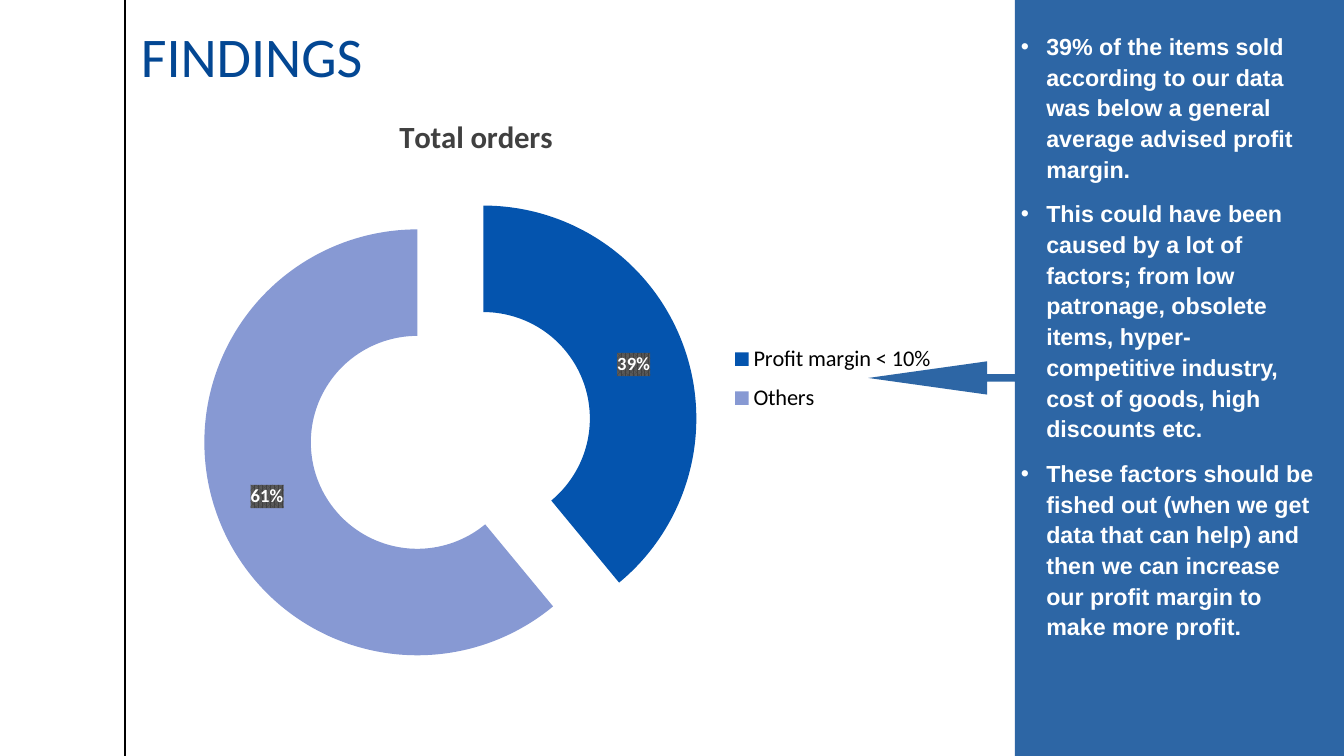
from lxml.etree import SubElement
from pptx import Presentation
from pptx.chart.data import CategoryChartData
from pptx.dml.color import RGBColor
from pptx.enum.chart import XL_CHART_TYPE as ChartType, XL_LEGEND_POSITION as LegendPosition
from pptx.enum.shapes import MSO_CONNECTOR as Connector, MSO_SHAPE as Shape
from pptx.enum.text import MSO_ANCHOR as Anchor
from pptx.oxml import parse_xml
from pptx.oxml.ns import nsdecls, qn
from pptx.util import Cm, Pt

HEADING = "FINDINGS"
FINDINGS = [
    "39% of the items sold according to our data was below a general average "
    "advised profit margin.",
    "This could have been caused by a lot of factors; from low patronage, obsolete "
    "items, hyper-competitive industry, cost of goods, high discounts etc.",
    "These factors should be fished out (when we get data that can help) and then "
    "we can increase our profit margin to make more profit.",
]
CHART_TITLE = "Total orders"
ORDERS = [("Profit margin < 10%", 39, "0454AE"), ("Others", 61, "8799D3")]
NAVY, WHITE, BLACK, GREY = "034793", "FFFFFF", "000000", "404040"

SLIDE_W, SLIDE_H = 33.87, 19.05
PANEL_W = 11.99  # callout including its arrow
CALLOUT_RATIOS = [0.016, 0.035, 0.25, 0.692]  # shaft, head half-width, head length, body
BULLET_INDENT = Cm(0.64)


def rgb(hex_color):
    return RGBColor.from_string(hex_color)


def style(font, size, color, name="Calibri", bold=False):
    font.size, font.name, font.bold = Pt(size), name, bold
    font.color.rgb = rgb(color)


def place(element, **fractions):
    """Put a chart title or legend at fractions x, y (and w, h) of the chart area."""
    layout = element.find(qn("c:layout"))
    if layout is None:
        layout = parse_xml(f"<c:layout {nsdecls('c')}/>")
        element.find(qn("c:overlay")).addprevious(layout)
    manual = SubElement(layout, qn("c:manualLayout"))
    for tag, value in {"xMode": "edge", "yMode": "edge", **fractions}.items():
        SubElement(manual, qn(f"c:{tag}")).set("val", str(value))


def add_bullet(paragraph):
    properties = paragraph._p.get_or_add_pPr()
    properties.set("marL", str(BULLET_INDENT))
    properties.set("indent", str(-BULLET_INDENT))
    SubElement(properties, qn("a:buFont")).set("typeface", "Arial")
    SubElement(properties, qn("a:buChar")).set("char", "•")


def add_margin_line(slide):
    line = slide.shapes.add_connector(Connector.STRAIGHT, Cm(3.15), 0, Cm(3.15), Cm(SLIDE_H))
    line.line.color.rgb = rgb(BLACK)
    line.line.width = Pt(1)
    SubElement(line._element.spPr, qn("a:effectLst"))


def add_heading(slide):
    box = slide.shapes.add_textbox(Cm(3.55), Cm(0.61), Cm(9.14), Cm(1.78))
    frame = box.text_frame
    frame.word_wrap = True
    frame.vertical_anchor = Anchor.BOTTOM
    frame.margin_left = frame.margin_right = 0
    heading = frame.paragraphs[0]
    heading.text = HEADING
    heading.line_spacing = 0.9
    style(heading.font, 40, NAVY)


def add_panel(slide):
    # A quarter turn swaps the sides, so the callout is centred on the visible area.
    center_x, center_y = SLIDE_W - PANEL_W / 2, SLIDE_H / 2
    panel = slide.shapes.add_shape(
        Shape.DOWN_ARROW_CALLOUT, Cm(center_x - SLIDE_H / 2), Cm(center_y - PANEL_W / 2),
        Cm(SLIDE_H), Cm(PANEL_W))
    panel.rotation = 90
    for index, ratio in enumerate(CALLOUT_RATIOS):
        panel.adjustments[index] = ratio
    panel.shadow.inherit = False
    panel.line.fill.background()
    panel.fill.solid()
    panel.fill.fore_color.rgb = rgb(NAVY)
    color = panel._element.spPr.find(qn("a:solidFill"))[0]
    SubElement(color, qn("a:alpha")).set("val", "83000")


def add_findings(slide):
    box = slide.shapes.add_textbox(Cm(25.48), Cm(0.62), Cm(8), Cm(17.17))
    frame = box.text_frame
    frame.word_wrap = True
    for index, finding in enumerate(FINDINGS):
        paragraph = frame.add_paragraph() if index else frame.paragraphs[0]
        paragraph.text = finding
        add_bullet(paragraph)
        paragraph.line_spacing = 1.1
        paragraph.space_before = Pt(10 if index else 0)
        style(paragraph.font, 16.6, WHITE, "Arial", True)


def add_orders_chart(slide):
    data = CategoryChartData()
    data.categories = [category for category, _, _ in ORDERS]
    data.add_series(CHART_TITLE, [share for _, share, _ in ORDERS])
    chart = slide.shapes.add_chart(
        ChartType.DOUGHNUT_EXPLODED, Cm(2.81), Cm(2.39), Cm(22.58), Cm(15.06), data).chart
    style(chart.font, 10, BLACK)

    chart.has_title = True
    title = chart.chart_title.text_frame.paragraphs[0]
    title.text = CHART_TITLE
    style(title.font, 22, GREY, bold=True)
    place(chart.chart_title._element, x=0.315, y=0.025)

    chart.has_legend = True
    chart.legend.position = LegendPosition.RIGHT
    chart.legend.include_in_layout = False
    style(chart.legend.font, 16, BLACK)
    place(chart.legend._element, x=0.69, y=0.4, w=0.23, h=0.15)

    plot = chart.plots[0]
    plot.vary_by_categories = True
    plot._element.find(qn("c:holeSize")).set("val", "57")
    orders = plot.series[0]
    orders._element.find(qn("c:explosion")).set("val", "33")
    for index, (_, _, color) in enumerate(ORDERS):
        fill = orders.points[index].format.fill
        fill.solid()
        fill.fore_color.rgb = rgb(color)

    labels = orders.data_labels
    labels.show_percentage = True
    labels.show_value = False
    labels.number_format, labels.number_format_is_linked = "0%", False
    style(labels.font, 13.3, WHITE, bold=True)
    labels._element.find(qn("c:numFmt")).addnext(parse_xml(
        f'<c:spPr {nsdecls("c", "a")}><a:pattFill prst="pct75">'
        f'<a:fgClr><a:srgbClr val="{GREY}"/></a:fgClr>'
        '<a:bgClr><a:srgbClr val="595959"/></a:bgClr></a:pattFill></c:spPr>'))


def main():
    deck = Presentation()
    deck.slide_width, deck.slide_height = Cm(SLIDE_W), Cm(SLIDE_H)
    slide = deck.slides.add_slide(deck.slide_layouts[6])
    for add_part in (add_margin_line, add_heading, add_panel, add_findings, add_orders_chart):
        add_part(slide)
    deck.save("out.pptx")


if __name__ == "__main__":
    main()
